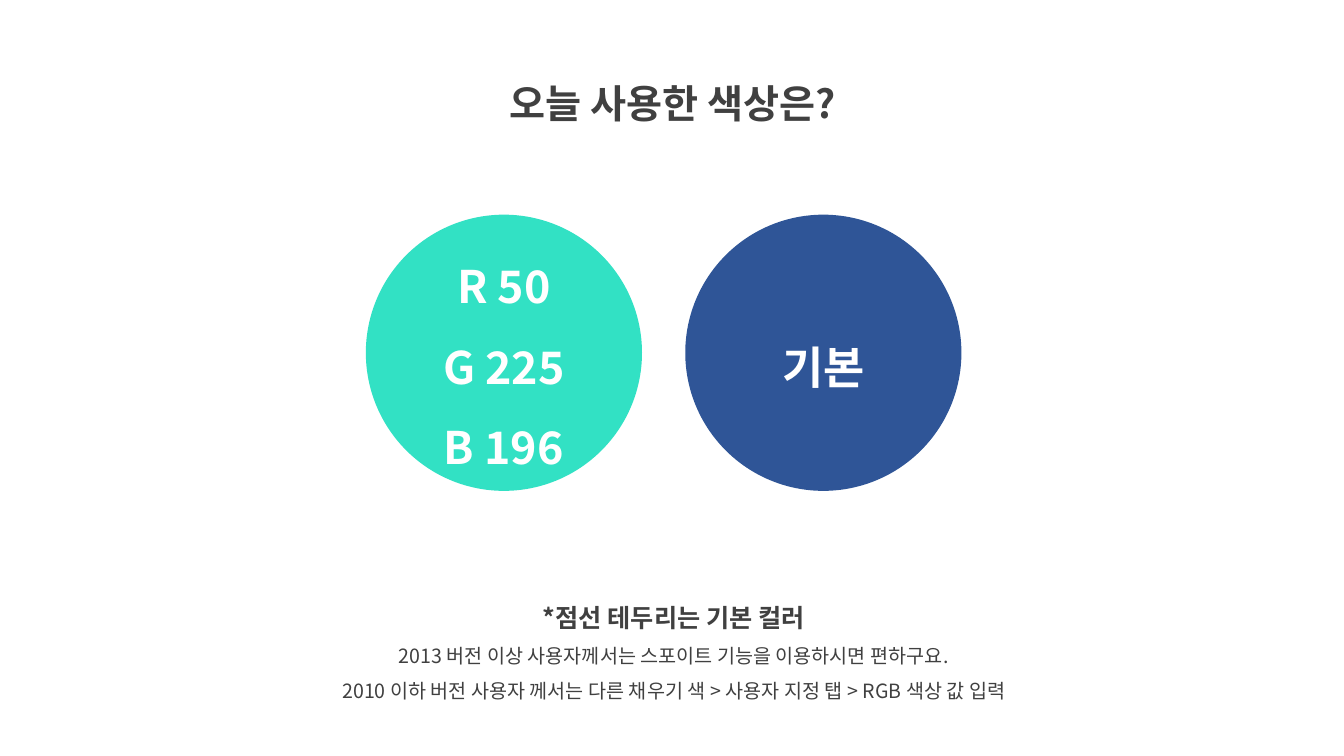
import pptx
import pptx.dml.color
import pptx.enum.shapes
import pptx.enum.text
import pptx.oxml
import pptx.oxml.ns
import pptx.util
from pptx.util import Cm

FONT = "Noto Sans CJK KR"
DARK_GRAY = pptx.dml.color.RGBColor(0x40, 0x40, 0x40)
WHITE = pptx.dml.color.RGBColor(0xFF, 0xFF, 0xFF)
MINT = pptx.dml.color.RGBColor(0x32, 0xE1, 0xC4)
NAVY = pptx.dml.color.RGBColor(0x2F, 0x55, 0x97)


def write_line(paragraph, text, size=14, color=DARK_GRAY, bold=False):
    """Write one centred line of text with its format."""
    paragraph.alignment = pptx.enum.text.PP_ALIGN.CENTER
    paragraph.line_spacing = 1.5
    paragraph.space_before = pptx.util.Pt(0)
    run = paragraph.add_run()
    run.text = text
    run.font.size = pptx.util.Pt(size)
    run.font.bold = bold
    run.font.color.rgb = color
    run.font.name = FONT
    properties = run.font._element
    east_asian = properties.makeelement(pptx.oxml.ns.qn("a:ea"), {"typeface": FONT})
    properties.find(pptx.oxml.ns.qn("a:latin")).addnext(east_asian)


def write_lines(frame, lines, anchor, **text_format):
    """Fill a text frame with lines, each a text and its own format."""
    frame.word_wrap = True
    frame.auto_size = pptx.enum.text.MSO_AUTO_SIZE.NONE
    frame.vertical_anchor = anchor
    for index, (text, own_format) in enumerate(lines):
        paragraph = frame.add_paragraph() if index else frame.paragraphs[0]
        write_line(paragraph, text, **{**text_format, **own_format})


def add_title(slide, left, top, width, height):
    """Place the heading in the title placeholder."""
    title = slide.shapes.title
    title.left, title.top, title.width, title.height = left, top, width, height
    write_lines(title.text_frame, [("오늘 사용한 색상은?", {})],
                pptx.enum.text.MSO_ANCHOR.TOP, size=28, bold=True)


def add_color_circles(slide, left, top, width, height):
    """Place one circle per colour, as tall as the box and spread across it."""
    circles = [(MINT, ["R 50", "G 225", "B 196"]), (NAVY, ["기본"])]
    step = (width - height) // (len(circles) - 1)
    for index, (color, labels) in enumerate(circles):
        circle = slide.shapes.add_shape(
            pptx.enum.shapes.MSO_SHAPE.OVAL, left + index * step, top, height, height)
        circle.shadow.inherit = False
        circle.fill.solid()
        circle.fill.fore_color.rgb = color
        circle.line.fill.background()
        write_lines(circle.text_frame, [(label, {}) for label in labels],
                    pptx.enum.text.MSO_ANCHOR.MIDDLE, size=32, color=WHITE, bold=True)


def add_notes(slide, left, top, width, height):
    """Place the explanation below the circles."""
    notes = slide.shapes.add_textbox(left, top, width, height)
    lines = [
        ("*점선 테두리는 기본 컬러", {"size": 18, "bold": True}),
        ("2013 버전 이상 사용자께서는 스포이트 기능을 이용하시면 편하구요.", {}),
        ("2010 이하 버전 사용자 께서는 다른 채우기 색 > 사용자 지정 탭 > RGB 색상 값 입력", {}),
    ]
    write_lines(notes.text_frame, lines, pptx.enum.text.MSO_ANCHOR.TOP)


def main():
    """Build the colour guide slide and save it."""
    presentation = pptx.Presentation()
    presentation.slide_width = Cm(33.87)
    presentation.slide_height = Cm(19.05)
    slide = presentation.slides.add_slide(presentation.slide_layouts[5])
    add_title(slide, Cm(11.07), Cm(1.27), Cm(11.76), Cm(1.83))
    add_color_circles(slide, Cm(9.22), Cm(5.41), Cm(15.01), Cm(6.96))
    add_notes(slide, Cm(6.83), Cm(14.66), Cm(20.3), Cm(3.2))
    presentation.save("out.pptx")


if __name__ == "__main__":
    main()
